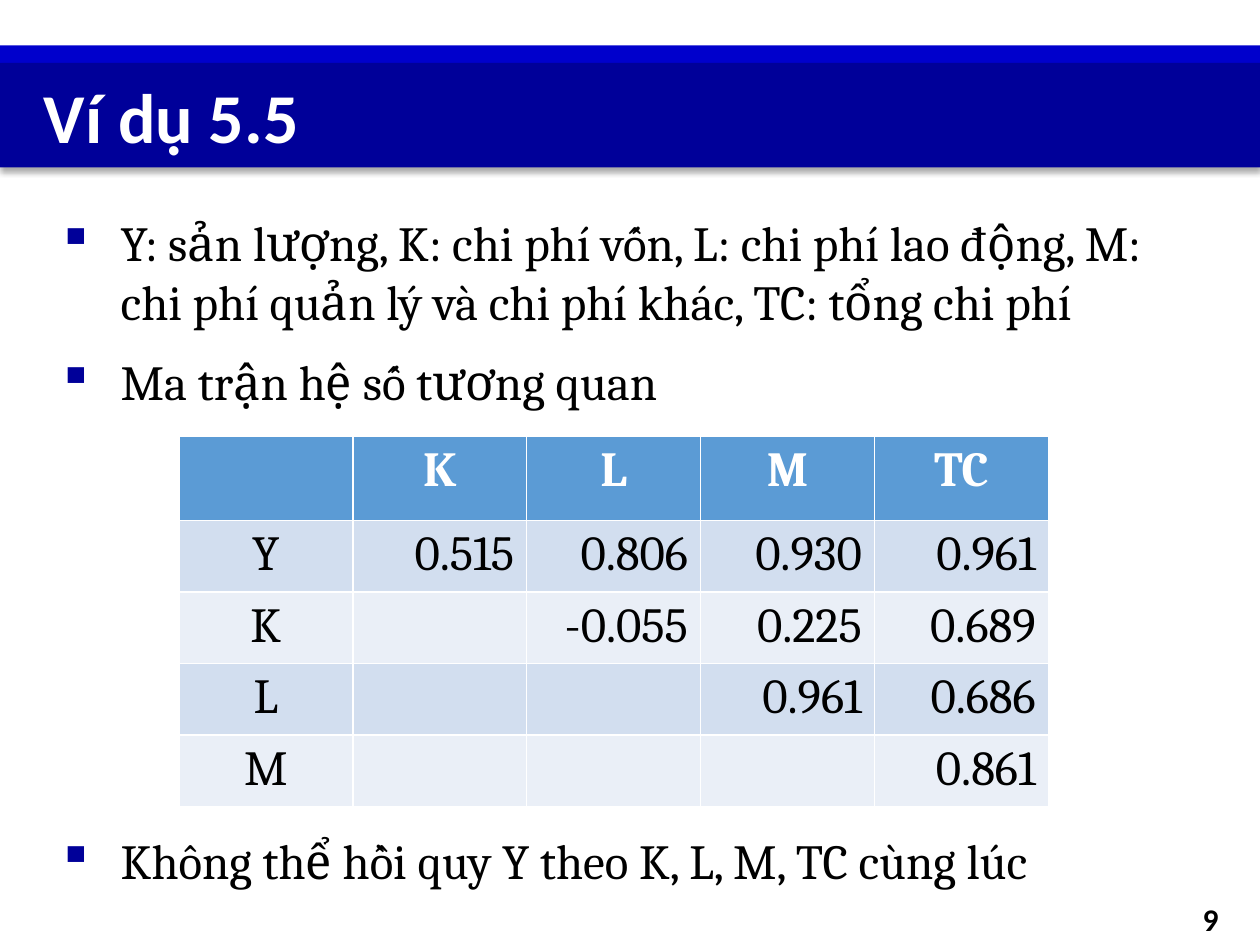
from lxml import etree
from pptx import Presentation
from pptx import util as u
from pptx.dml.color import RGBColor
from pptx.enum import shapes, text
from pptx.oxml import ns, parse_xml

NAVY, BLUE, WHITE, BLACK = "000099", "0000CC", "FFFFFF", "000000"
HEADER_FILL, BAND_FILLS = "5B9BD5", ("D2DEEF", "EAEFF7")
ALIGN = text.PP_ALIGN
MIDDLE = text.MSO_ANCHOR.MIDDLE


def color(hex_string):
    return RGBColor.from_string(hex_string)


def inches(*lengths):
    return [u.Inches(length) for length in lengths]


class SlideBuilder:
    heading_font = "Calibri"
    body_font = "Cambria"
    body_size = 28

    def __init__(self, slide):
        self.slide = slide

    def style(self, paragraph, font, size, hex_string, bold=False, align=ALIGN.LEFT):
        paragraph.alignment = align
        paragraph.font.name = font
        paragraph.font.size = u.Pt(size)
        paragraph.font.bold = bold
        paragraph.font.color.rgb = color(hex_string)

    def bar(self, box, fill):
        shape = self.slide.shapes.add_shape(shapes.MSO_SHAPE.RECTANGLE, *inches(*box))
        shape.shadow.inherit = False
        shape.fill.solid()
        shape.fill.fore_color.rgb = color(fill)
        shape.line.fill.background()
        return shape

    def title(self, box, wording):
        shape = self.bar(box, NAVY)
        self.drop_shadow(shape)
        shape.text_frame.vertical_anchor = MIDDLE
        paragraph = shape.text_frame.paragraphs[0]
        paragraph.text = wording
        self.style(paragraph, self.heading_font, 40, WHITE, bold=True)
        paragraph._p.get_or_add_pPr().set("marL", str(u.Inches(0.25)))

    def drop_shadow(self, shape):
        effects = shape._element.spPr.find(ns.qn("a:effectLst"))
        effects.append(parse_xml(
            f'<a:outerShdw {ns.nsdecls("a")} blurRad="{u.Pt(3.5)}" dist="{u.Pt(2.2)}" '
            f'dir="5400000" rotWithShape="0"><a:srgbClr val="{BLACK}">'
            '<a:alpha val="32000"/></a:srgbClr></a:outerShdw>'))

    def text_frame(self, box):
        frame = self.slide.shapes.add_textbox(*inches(*box)).text_frame
        frame.word_wrap = True
        return frame

    def bullets(self, box, items):
        """Write (wording, space before in points) pairs as a bulleted list."""
        frame = self.text_frame(box)
        for index, (wording, space) in enumerate(items):
            paragraph = frame.add_paragraph() if index else frame.paragraphs[0]
            paragraph.text = wording
            paragraph.space_before = u.Pt(space)
            self.style(paragraph, self.body_font, self.body_size, BLACK)
            self.add_bullet(paragraph)

    def add_bullet(self, paragraph):
        properties = paragraph._p.get_or_add_pPr()
        properties.set("marL", str(u.Inches(0.5)))
        properties.set("indent", str(u.Inches(-0.5)))
        bullet_color = etree.Element(ns.qn("a:buClr"))
        etree.SubElement(bullet_color, ns.qn("a:srgbClr"), val=NAVY)
        bullet = etree.Element(ns.qn("a:buChar"), char="▪")
        for element in (bullet_color, bullet):
            properties.find(ns.qn("a:defRPr")).addprevious(element)

    def table(self, box, row_heights, rows):
        """Fill the cells; the default table style supplies the white borders."""
        table = self.slide.shapes.add_table(len(rows), len(rows[0]), *inches(*box)).table
        for row, height in zip(table.rows, row_heights):
            row.height = u.Inches(height)
        for r, values in enumerate(rows):
            for c, value in enumerate(values):
                cell = table.cell(r, c)
                cell.fill.solid()
                cell.fill.fore_color.rgb = color(BAND_FILLS[(r - 1) % 2] if r else HEADER_FILL)
                paragraph = cell.text_frame.paragraphs[0]
                paragraph.text = value
                self.style(paragraph, self.body_font, self.body_size,
                           BLACK if r else WHITE, bold=r == 0,
                           align=ALIGN.RIGHT if r and c else ALIGN.CENTER)

    def page_number(self, box, number):
        frame = self.text_frame(box)
        frame.vertical_anchor = MIDDLE
        paragraph = frame.paragraphs[0]
        paragraph.text = number
        self.style(paragraph, self.heading_font, 18, BLACK, bold=True, align=ALIGN.RIGHT)


def main():
    presentation = Presentation()
    presentation.slide_width, presentation.slide_height = inches(10, 7.5)
    builder = SlideBuilder(presentation.slides.add_slide(presentation.slide_layouts[6]))

    builder.bar((0, 0.36, 10, 0.14), BLUE)
    builder.title((0, 0.5, 10, 0.83), "Ví dụ 5.5")
    # The last item starts below the table.
    builder.bullets((0.36, 1.64, 9.33, 5.31), [
        ("Y: sản lượng, K: chi phí vốn, L: chi phí lao động, M: "
         "chi phí quản lý và chi phí khác, TC: tổng chi phí", 12),
        ("Ma trận hệ số tương quan", 12),
        ("Không thể hồi quy Y theo K, L, M, TC cùng lúc", 240),
    ])
    builder.page_number((8.94, 7.09, 0.83, 0.4), "9")
    builder.table((1.42, 3.46, 6.9, 2.71), [0.67] + [0.51] * 4, [
        ("", "K", "L", "M", "TC"),
        ("Y", "0.515", "0.806", "0.930", "0.961"),
        ("K", "", "-0.055", "0.225", "0.689"),
        ("L", "", "", "0.961", "0.686"),
        ("M", "", "", "", "0.861"),
    ])
    presentation.save("out.pptx")


if __name__ == "__main__":
    main()
